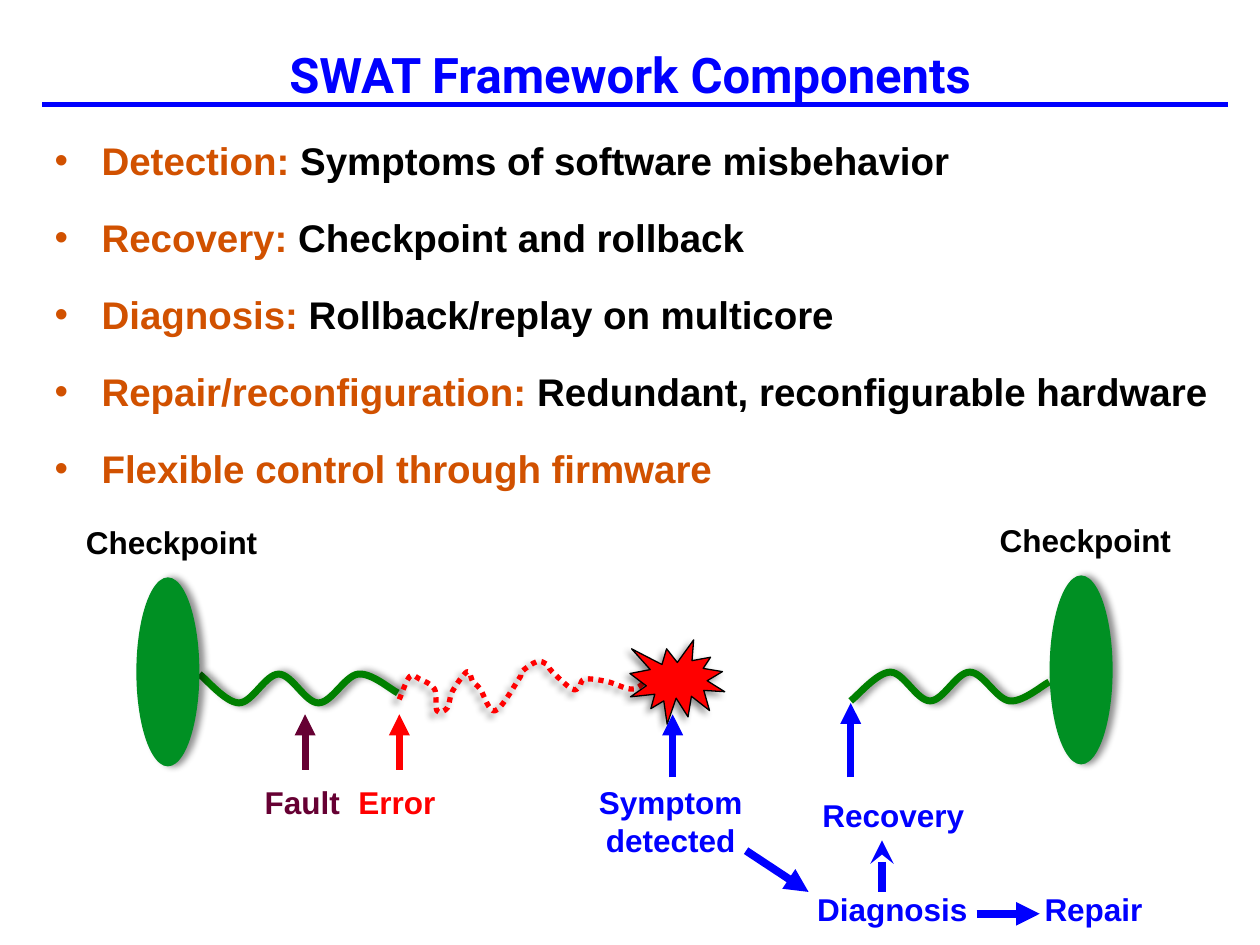
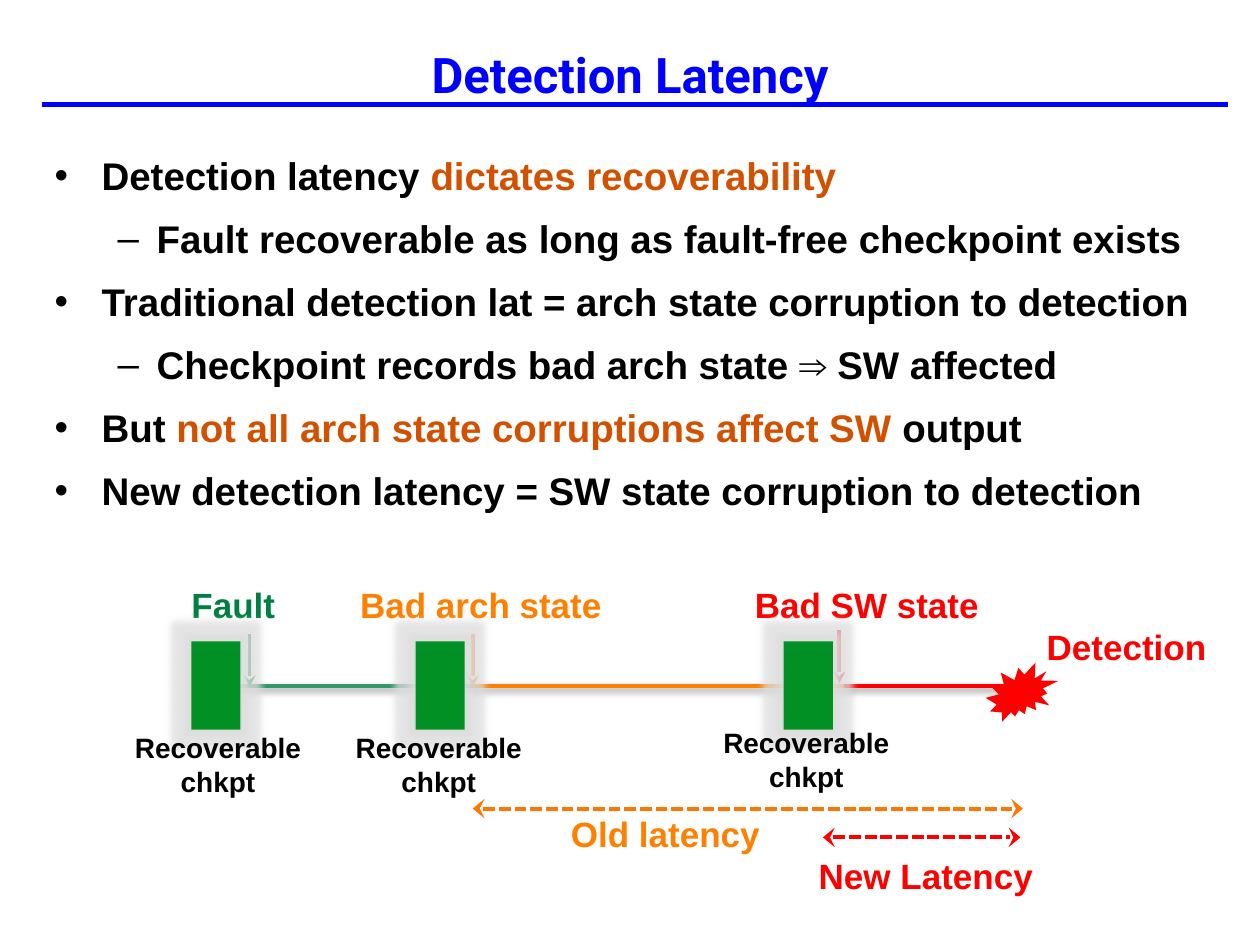
from dataclasses import dataclass

from lxml import etree
from pptx import Presentation
from pptx import util as u
from pptx.dml.color import RGBColor
from pptx.enum import dml, shapes, text
from pptx.oxml.ns import qn


@dataclass(frozen=True)
class Theme:
    font: str = "Arial"
    title_font: str = "Roboto"
    title_size: int = 28
    body_size: int = 22
    event_size: int = 20
    label_size: int = 18
    note_size: int = 16
    blue: str = "0000FF"
    black: str = "000000"
    accent: str = "D15100"
    checkpoint: str = "009023"
    wave: str = "008000"
    red: str = "FF0000"
    maroon: str = "660033"
    orange: str = "FF8000"
    deep_orange: str = "FF7600"
    fault: str = "008040"
    fault_track: str = "339966"
    halo: str = "DDDDDD"


THEME = Theme()
Point = tuple[float, float]


@dataclass(frozen=True)
class Bullet:
    """One body line; its runs are (words, colour) pairs."""
    runs: tuple[tuple[str, str], ...]
    level: int = 0


@dataclass(frozen=True)
class Label:
    words: str
    left: float
    top: float
    width: float
    color: str
    size: int = THEME.label_size


@dataclass(frozen=True)
class Stroke:
    """A straight line; a span is dashed with a wide head at both ends."""
    start: Point
    end: Point
    color: str
    width: float
    tip: str = ""
    span: bool = False
    shadow: bool = False


def rgb(color: str) -> RGBColor:
    return RGBColor.from_string(color)


def set_effect(shape, kind: str = "", color: str = "", alpha: int = 0, **sizes: int) -> None:
    """Give a shape one effect, or an empty effect list."""
    properties = shape._element.spPr
    effects = properties.find(qn("a:effectLst"))
    if effects is None:
        effects = etree.SubElement(properties, qn("a:effectLst"))
    if kind:
        effect = etree.SubElement(effects, qn(f"a:{kind}"),
                                  {name: str(size) for name, size in sizes.items()})
        tint = etree.SubElement(effect, qn("a:srgbClr"), val=color)
        etree.SubElement(tint, qn("a:alpha"), val=str(alpha * 1000))


def cast_shadow(shape, degrees: int) -> None:
    set_effect(shape, "outerShdw", THEME.black, 43, blurRad=u.Pt(4), dist=u.Pt(3),
               dir=degrees * 60000)


def style_font(paragraph, size: int, color: str = "", name: str = THEME.font) -> None:
    font = paragraph.font
    font.name, font.size, font.bold = name, u.Pt(size), True
    if color:
        font.color.rgb = rgb(color)


def add_stroke(slide, stroke: Stroke):
    ends = [u.Cm(value) for value in (*stroke.start, *stroke.end)]
    connector = slide.shapes.add_connector(shapes.MSO_CONNECTOR.STRAIGHT, *ends)
    line = connector.line
    line.color.rgb = rgb(stroke.color)
    line.width = u.Pt(stroke.width)
    if stroke.span:
        line.dash_style = dml.MSO_LINE.SQUARE_DOT
        line._ln.find(qn("a:prstDash")).set("val", "sysDash")
        for tag in ("a:headEnd", "a:tailEnd"):
            etree.SubElement(line._ln, qn(tag), type="stealth", w="lg")
    elif stroke.tip:
        etree.SubElement(line._ln, qn("a:tailEnd"), type=stroke.tip)
    if stroke.shadow:
        cast_shadow(connector, 45)
    else:
        set_effect(connector)
    return connector


def add_label(slide, label: Label) -> None:
    lines = label.words.split("\n")
    height = 0.25 + 0.0423 * label.size * len(lines)
    box = slide.shapes.add_textbox(u.Cm(label.left), u.Cm(label.top),
                                   u.Cm(label.width), u.Cm(height))
    frame = box.text_frame
    frame.word_wrap = False
    frame.auto_size = text.MSO_AUTO_SIZE.SHAPE_TO_FIT_TEXT
    frame.text = label.words
    for paragraph in frame.paragraphs:
        paragraph.alignment = text.PP_ALIGN.CENTER
        style_font(paragraph, label.size, label.color)


def add_solid(slide, preset, left: float, top: float, width: float, height: float, color: str):
    shape = slide.shapes.add_shape(preset, u.Cm(left), u.Cm(top), u.Cm(width), u.Cm(height))
    shape.shadow.inherit = False
    shape.fill.solid()
    shape.fill.fore_color.rgb = rgb(color)
    shape.line.fill.background()
    return shape


def round_corners(outline) -> None:
    """Turn the straight segments of a freeform into Bézier curves through its knots."""
    knots = [(int(point.get("x")), int(point.get("y")))
             for point in outline._element.iter(qn("a:pt"))]
    padded = [knots[0], *knots, knots[-1]]
    segments = list(outline._element.iter(qn("a:lnTo")))
    for segment, a, b, c, d in zip(segments, padded, padded[1:], padded[2:], padded[3:]):
        segment.tag = qn("a:cubicBezTo")
        leaving = [q + (r - p) // 6 for p, q, r in zip(a, b, c)]
        arriving = [r - (s - q) // 6 for q, r, s in zip(b, c, d)]
        for position, (x, y) in enumerate((leaving, arriving)):
            segment.insert(position, etree.Element(qn("a:pt"), x=str(x), y=str(y)))


def add_curve(slide, knots: list[Point], color: str, width: float, degrees: int):
    points = [(u.Cm(x), u.Cm(y)) for x, y in knots]
    builder = slide.shapes.build_freeform(*points[0])
    builder.add_line_segments(points[1:], close=False)
    curve = builder.convert_to_shape()
    round_corners(curve)
    curve.shadow.inherit = False
    curve.fill.background()
    curve.line.color.rgb = rgb(color)
    curve.line.width = u.Pt(width)
    cast_shadow(curve, degrees)
    return curve


def add_master_rule(presentation, slide) -> None:
    """Draw the rule under the titles and move it to the slide master."""
    rule = add_stroke(slide, Stroke((0.85, 2.11), (24.76, 2.11), THEME.blue, 3))
    rule._element.nvCxnSpPr.cNvPr.set("id", "20")
    presentation.slide_master.shapes._spTree.append(rule._element)


def add_titled_slide(presentation, title: str):
    slide = presentation.slides.add_slide(presentation.slide_layouts[5])
    holder = slide.shapes.title
    holder.left, holder.top, holder.width, holder.height = (
        u.Cm(0), u.Cm(0.42), u.Cm(25.4), u.Cm(2.12))
    frame = holder.text_frame
    frame.text = title
    frame.vertical_anchor = text.MSO_ANCHOR.MIDDLE
    paragraph = frame.paragraphs[0]
    paragraph.alignment = text.PP_ALIGN.CENTER
    style_font(paragraph, THEME.title_size, THEME.blue, THEME.title_font)
    return slide


def add_body(slide, bullets: list[Bullet], top: float, height: float, spacing: float) -> None:
    frame = slide.shapes.add_textbox(u.Cm(0.85), u.Cm(top), u.Cm(23.93), u.Cm(height)).text_frame
    frame.word_wrap = True
    margins = ((0.95, -0.95, "•"), (2.06, -0.79, "–"))
    for index, bullet in enumerate(bullets):
        paragraph = frame.add_paragraph() if index else frame.paragraphs[0]
        paragraph.level = bullet.level
        paragraph.line_spacing = spacing
        if index:
            paragraph.space_before = u.Pt(4.4)
        margin, indent, mark = margins[bullet.level]
        properties = paragraph._p.get_or_add_pPr()
        properties.set("marL", str(u.Cm(margin)))
        properties.set("indent", str(u.Cm(indent)))
        etree.SubElement(properties, qn("a:buFont"), typeface=THEME.font)
        etree.SubElement(properties, qn("a:buChar"), char=mark)
        style_font(paragraph, THEME.body_size)
        for words, color in bullet.runs:
            run = paragraph.add_run()
            run.text = words
            run.font.color.rgb = rgb(color)


def build_components(presentation) -> None:
    slide = add_titled_slide(presentation, "SWAT Framework Components")
    add_master_rule(presentation, slide)
    parts = (("Detection:", " Symptoms of software misbehavior"),
             ("Recovery:", " Checkpoint and rollback"),
             ("Diagnosis:", " Rollback/replay on multicore"),
             ("Repair/reconfiguration:", " Redundant, reconfigurable hardware"))
    bullets = [Bullet(((name, THEME.accent), (detail, THEME.black))) for name, detail in parts]
    bullets.append(Bullet((("Flexible control through firmware", THEME.accent),)))
    add_body(slide, bullets, 2.18, 7.98, 1.5)

    swings = (-0.28, 0.3, -0.28, 0.3, -0.28, 0.1)
    for left, middle, sign in ((4.02, 13.87, 1), (17.15, 13.85, -1)):
        knots = [(left + 0.8 * i, middle + sign * swing) for i, swing in enumerate(swings)]
        add_curve(slide, knots, THEME.wave, 4, 0)
    for left, top in ((2.75, 11.64), (21.16, 11.6)):
        ellipse = add_solid(slide, shapes.MSO_SHAPE.OVAL, left, top, 1.27, 3.81, THEME.checkpoint)
        cast_shadow(ellipse, 0)
    error_path = [
        (8.05, 14.1), (8.26, 13.64), (8.46, 13.69), (8.76, 13.89), (8.81, 14.33), (9.02, 14.27),
        (9.12, 13.94), (9.42, 13.54), (9.53, 13.74), (9.68, 13.89), (9.98, 14.33), (10.46, 13.69),
        (10.52, 13.54), (10.82, 13.34), (11.02, 13.39), (11.13, 13.54), (11.53, 13.89),
        (11.68, 13.84), (11.79, 13.69), (12.24, 13.74), (12.78, 13.89), (13.13, 13.59)]
    error_curve = add_curve(slide, error_path, THEME.red, 3, 135)
    error_curve.line.dash_style = dml.MSO_LINE.ROUND_DOT

    burst = add_solid(slide, shapes.MSO_SHAPE.EXPLOSION1, 12.7, 12.9, 1.91, 1.7, THEME.red)
    burst.line.color.rgb = rgb(THEME.black)
    burst.line.width = u.Pt(0.75)
    cast_shadow(burst, 135)

    for start, end, color, width, tip in (
            ((6.15, 15.52), (6.15, 14.4), THEME.maroon, 4, "triangle"),
            ((8.05, 15.52), (8.05, 14.4), THEME.red, 4, "triangle"),
            ((13.56, 15.67), (13.56, 14.4), THEME.blue, 4, "triangle"),
            ((17.15, 15.67), (17.15, 14.17), THEME.blue, 4, "triangle"),
            ((15.04, 17.15), (16.3, 17.98), THEME.blue, 4.5, "triangle"),
            ((19.69, 18.42), (20.96, 18.42), THEME.blue, 4.5, "triangle"),
            ((17.78, 17.98), (17.78, 16.94), THEME.blue, 4.5, "stealth")):
        add_stroke(slide, Stroke(start, end, color, width, tip))
    for label in (
            Label("Fault", 5.08, 15.66, 2.03, THEME.maroon),
            Label("Error", 6.97, 15.66, 2.06, THEME.red),
            Label("Symptom\ndetected", 11.82, 15.66, 3.4, THEME.blue),
            Label("Recovery", 16.27, 15.93, 3.48, THEME.blue),
            Label("Diagnosis", 16.21, 17.82, 3.56, THEME.blue),
            Label("Repair", 20.8, 17.82, 2.49, THEME.blue),
            Label("Checkpoint", 1.48, 10.41, 3.96, THEME.black),
            Label("Checkpoint", 19.9, 10.37, 3.96, THEME.black)):
        add_label(slide, label)


def build_latency(presentation) -> None:
    slide = add_titled_slide(presentation, "Detection Latency")
    black, accent = THEME.black, THEME.accent
    add_body(slide, [
        Bullet((("Detection latency ", black), ("dictates recoverability", accent))),
        Bullet((("Fault recoverable as long as fault-free checkpoint exists", black),), 1),
        Bullet((("Traditional detection lat = arch state corruption to detection", black),)),
        Bullet((("Checkpoint records bad arch state ⇒ SW affected", black),), 1),
        Bullet((("But ", black), ("not all arch state corruptions affect SW ", accent),
                ("output", black))),
        Bullet((("New detection latency = SW state corruption to detection", black),)),
    ], 2.75, 15.44, 1.2)

    track_y = 13.82
    tracks = [add_stroke(slide, Stroke((start, track_y), (end, track_y), color, 2.25, shadow=True))
              for start, end, color in ((3.86, 9.53, THEME.fault_track),
                                        (9.53, 17.07, THEME.orange),
                                        (17.02, 20.55, THEME.red))]
    for x, top, color in ((5.03, 12.78, THEME.fault), (9.53, 12.78, THEME.orange),
                          (16.92, 12.7, THEME.red)):
        add_stroke(slide, Stroke((x, top), (x, top + 1.07), color, 2.25, "stealth"))
    for start, end, y, color in ((9.53, 20.62, 16.3, THEME.deep_orange),
                                 (16.59, 20.57, 16.88, THEME.red)):
        add_stroke(slide, Stroke((start, y), (end, y), color, 2.25, span=True))
    add_solid(slide, shapes.MSO_SHAPE.EXPLOSION2, 19.87, 13.36, 1.47, 1.19, THEME.red)

    for label in (
            Label("Fault", 3.6, 11.63, 2.21, THEME.fault, THEME.event_size),
            Label("Bad arch state", 6.99, 11.63, 5.41, THEME.orange, THEME.event_size),
            Label("Bad SW state", 12.85, 11.63, 9.25, THEME.red, THEME.event_size),
            Label("Detection", 19.89, 12.49, 5.64, THEME.red, THEME.event_size),
            Label("Old latency", 8.79, 16.26, 9.25, THEME.orange, THEME.event_size),
            Label("New Latency", 14.04, 17.1, 9.25, THEME.red, THEME.event_size)):
        add_label(slide, label)

    checkpoints = []
    for left, note_left, note_top in ((3.86, 2.44, 14.61), (8.38, 6.89, 14.61),
                                      (15.8, 14.3, 14.5)):
        checkpoint = add_solid(slide, shapes.MSO_SHAPE.RECTANGLE, left, track_y - 0.89, 0.99, 1.78,
                               THEME.checkpoint)
        set_effect(checkpoint, "glow", THEME.halo, 75, rad=u.Pt(8))
        checkpoints.append(checkpoint)
        add_label(slide, Label("Recoverable\nchkpt", note_left, note_top, 3.91, black,
                               THEME.note_size))
    tracks[0].begin_connect(checkpoints[0], 1)


def main() -> None:
    presentation = Presentation()
    presentation.slide_width, presentation.slide_height = u.Cm(25.4), u.Cm(19.05)
    build_components(presentation)
    build_latency(presentation)
    presentation.save("out.pptx")


if __name__ == "__main__":
    main()
